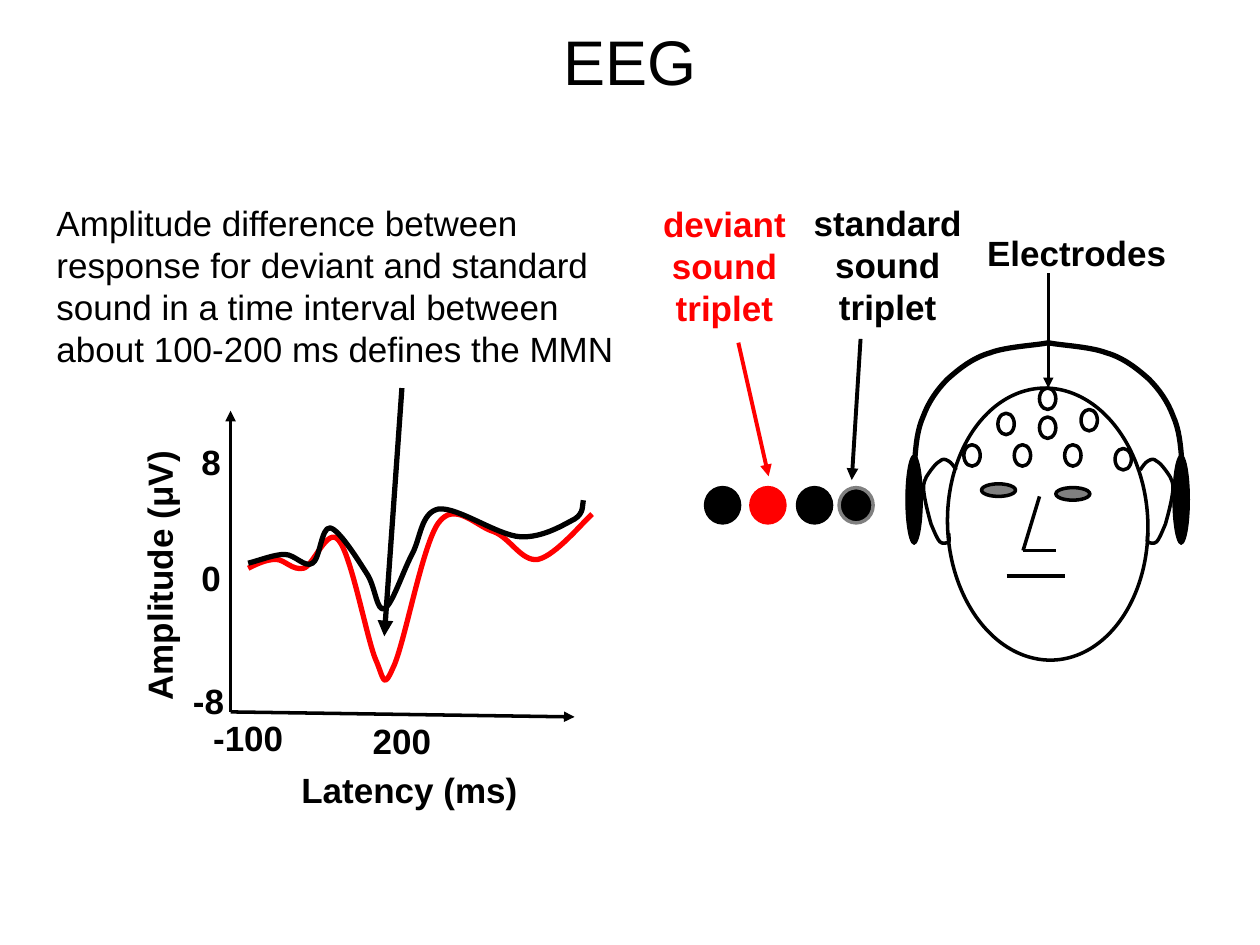
from dataclasses import dataclass

from lxml import etree
from pptx import Presentation
from pptx.dml.color import RGBColor
from pptx.enum.shapes import MSO_CONNECTOR, MSO_SHAPE
from pptx.enum.text import MSO_ANCHOR, MSO_AUTO_SIZE, PP_ALIGN
from pptx.oxml.ns import qn
from pptx.util import Pt

PX = 9144  # EMU per px, 100 px to the inch


@dataclass(frozen=True)
class Theme:
    font: str = "Arial"
    black: str = "000000"
    white: str = "FFFFFF"
    red: str = "FF0000"
    grey: str = "808080"
    title_size: int = 36
    text_size: int = 20


THEME = Theme()


def emu(*lengths):
    return [length * PX for length in lengths]


def rgb(color):
    return RGBColor.from_string(color)


def write(frame, text, *, size=THEME.text_size, color=THEME.black,
          bold=False, align=PP_ALIGN.CENTER):
    frame.word_wrap = True
    paragraph = frame.paragraphs[0]
    paragraph.alignment = align
    run = paragraph.add_run()
    run.text = text
    run.font.name = THEME.font
    run.font.size = Pt(size)
    run.font.bold = bold
    run.font.color.rgb = rgb(color)


def mirrored(points, axis):
    return [(2 * axis - x, y) for x, y in points]


class Sketch:
    def __init__(self, slide):
        self.slide = slide
        self.shapes = slide.shapes

    def title(self, text, left, top, width, height):
        title = self.shapes.title
        title.left, title.top, title.width, title.height = emu(left, top, width, height)
        title.text_frame.auto_size = MSO_AUTO_SIZE.NONE
        title.text_frame.vertical_anchor = MSO_ANCHOR.MIDDLE
        write(title.text_frame, text, size=THEME.title_size)

    def label(self, text, left, top, width, height=44, rotation=0, bold=True, **style):
        box = self.shapes.add_textbox(*emu(left, top, width, height))
        box.rotation = rotation
        write(box.text_frame, text, bold=bold, **style)

    def ellipse(self, left, top, width, height, fill=THEME.white,
                line=THEME.black, weight=2, rotation=0):
        oval = self.shapes.add_shape(MSO_SHAPE.OVAL, *emu(left, top, width, height))
        oval.shadow.inherit = False
        oval.rotation = rotation
        oval.fill.solid()
        oval.fill.fore_color.rgb = rgb(fill)
        oval.line.color.rgb = rgb(line)
        oval.line.width = Pt(weight)

    def line(self, start, end, color=THEME.black, weight=2.0, arrow=False):
        line = self.shapes.add_connector(MSO_CONNECTOR.STRAIGHT, *emu(*start, *end))
        line.line.color.rgb = rgb(color)
        line.line.width = Pt(weight)
        if arrow:
            etree.SubElement(line.line._get_or_add_ln(), qn("a:tailEnd"), type="triangle")
        etree.SubElement(line._element.spPr, qn("a:effectLst"))

    def curve(self, points, color=THEME.black, weight=3):
        """Draw a start point followed by groups of three Bézier points."""
        builder = self.shapes.build_freeform(*points[0], scale=PX)
        builder.add_line_segments(points[1:], close=False)
        curve = builder.convert_to_shape()
        # Merge each three straight segments into one cubic segment
        segments = list(curve._element.iter(qn("a:lnTo")))
        for i in range(0, len(segments), 3):
            cubic = etree.Element(qn("a:cubicBezTo"))
            segments[i].addprevious(cubic)
            for segment in segments[i:i + 3]:
                cubic.append(segment[0])
                segment.getparent().remove(segment)
        curve.shadow.inherit = False
        curve.fill.background()
        curve.line.color.rgb = rgb(color)
        curve.line.width = Pt(weight)


def draw_head(sketch):
    middle = 832

    # Face and electrodes
    sketch.ellipse(752, 308, 159, 216, rotation=-2.4)
    electrodes = [(825, 308), (825, 331), (845, 353), (858, 325),
                  (792, 328), (885, 356), (765, 353), (805, 353)]
    for left, top in electrodes:
        sketch.ellipse(left, top, 13, 17)

    # Ears
    ear = [(905, 373), (907, 370), (909, 367), (911, 366), (914, 364), (916, 364),
           (918, 366), (920, 367), (922, 369), (925, 373), (927, 376), (931, 380),
           (931, 387), (931, 394), (927, 409), (925, 416), (922, 423), (920, 428),
           (918, 430), (916, 432), (912, 431), (911, 430), (910, 429), (911, 426),
           (911, 423)]
    for side in (ear, mirrored(ear, middle)):
        sketch.curve(side, weight=2)

    # Headphones
    for left in (719, 931):
        sketch.ellipse(left, 361, 13, 71, fill=THEME.black, weight=0)
    headband = [(938, 366), (937, 353), (936, 341), (931, 330), (927, 319),
                (920, 309), (912, 301), (903, 293), (892, 284), (878, 280),
                (865, 275), (840, 274), (832, 272)]
    for side in (headband, mirrored(headband, middle)):
        sketch.curve(side)

    # Eyes, nose and mouth
    for left, top in ((779, 384), (838, 387)):
        sketch.ellipse(left, top, 27, 10, fill=THEME.grey)
    for start, end in (((825, 394), (812, 437)), ((812, 437), (838, 437)),
                       ((799, 457), (845, 457))):
        sketch.line(start, end)

    sketch.label("Electrodes", 765, 179, 179)
    sketch.line((middle, 217), (middle, 308), arrow=True)


def draw_sounds(sketch):
    # Sequence of sound triplets
    for left, fill, line in ((560, THEME.black, THEME.black),
                             (596, THEME.red, THEME.red),
                             (633, THEME.black, THEME.black),
                             (666, THEME.black, THEME.grey)):
        sketch.ellipse(left, 387, 27, 28, fill=fill, line=line)

    # Deviant and standard captions
    sketch.label("deviant sound triplet", 510, 156, 130, 110, color=THEME.red)
    sketch.line((586, 272), (610, 378), color=THEME.red, weight=2.25, arrow=True)
    sketch.label("standard sound triplet", 632, 155, 145, 110)
    sketch.line((683, 269), (676, 381), weight=2.25, arrow=True)


def draw_response(sketch):
    # Axes with their captions
    origin = (183, 565)
    for axis_end in ((183, 326), (456, 569)):
        sketch.line(origin, axis_end, arrow=True)
    for text, left, top, width in (("8", 150, 345, 27), ("0", 150, 437, 27),
                                   ("-8", 133, 534, 65), ("-100", 151, 564, 92),
                                   ("200", 284, 566, 70), ("Latency (ms)", 218, 605, 214)):
        sketch.label(text, left, top, width)
    sketch.label("Amplitude (μV)", -17, 435, 287, rotation=270)

    # Responses to the deviant and the standard sound
    deviant = [(197, 451), (205, 447), (212, 444), (219, 444), (226, 444), (232, 453),
               (241, 451), (249, 449), (260, 417), (269, 429), (279, 441), (291, 506),
               (298, 523), (305, 539), (304, 548), (312, 530), (321, 512), (335, 433),
               (348, 415), (361, 397), (378, 418), (392, 422), (405, 427), (414, 446),
               (427, 444), (441, 441), (463, 414), (470, 408)]
    standard = [(197, 447), (208, 444), (218, 440), (226, 440), (234, 440), (242, 451),
                (248, 447), (254, 444), (255, 418), (262, 419), (269, 420), (284, 444),
                (291, 455), (298, 465), (299, 486), (305, 483), (311, 481), (320, 453),
                (327, 440), (334, 427), (334, 407), (348, 404), (363, 402), (395, 425),
                (413, 426), (431, 427), (448, 416), (456, 412), (464, 407), (462, 400),
                (463, 397)]
    sketch.curve(deviant, color=THEME.red)
    sketch.curve(standard)

    # Explanation of the difference
    sketch.label("Amplitude difference between response for deviant and standard "
                 "sound in a time interval between about 100-200 ms defines the MMN",
                 35, 155, 480, 144, bold=False, align=PP_ALIGN.LEFT)
    sketch.line((319, 308), (305, 505), weight=3, arrow=True)


def main():
    deck = Presentation()
    deck.slide_width, deck.slide_height = emu(1000, 750)
    sketch = Sketch(deck.slides.add_slide(deck.slide_layouts[5]))
    sketch.title("EEG", 8, 36, 984, 24)
    draw_head(sketch)
    draw_sounds(sketch)
    draw_response(sketch)
    deck.save("out.pptx")


if __name__ == "__main__":
    main()
